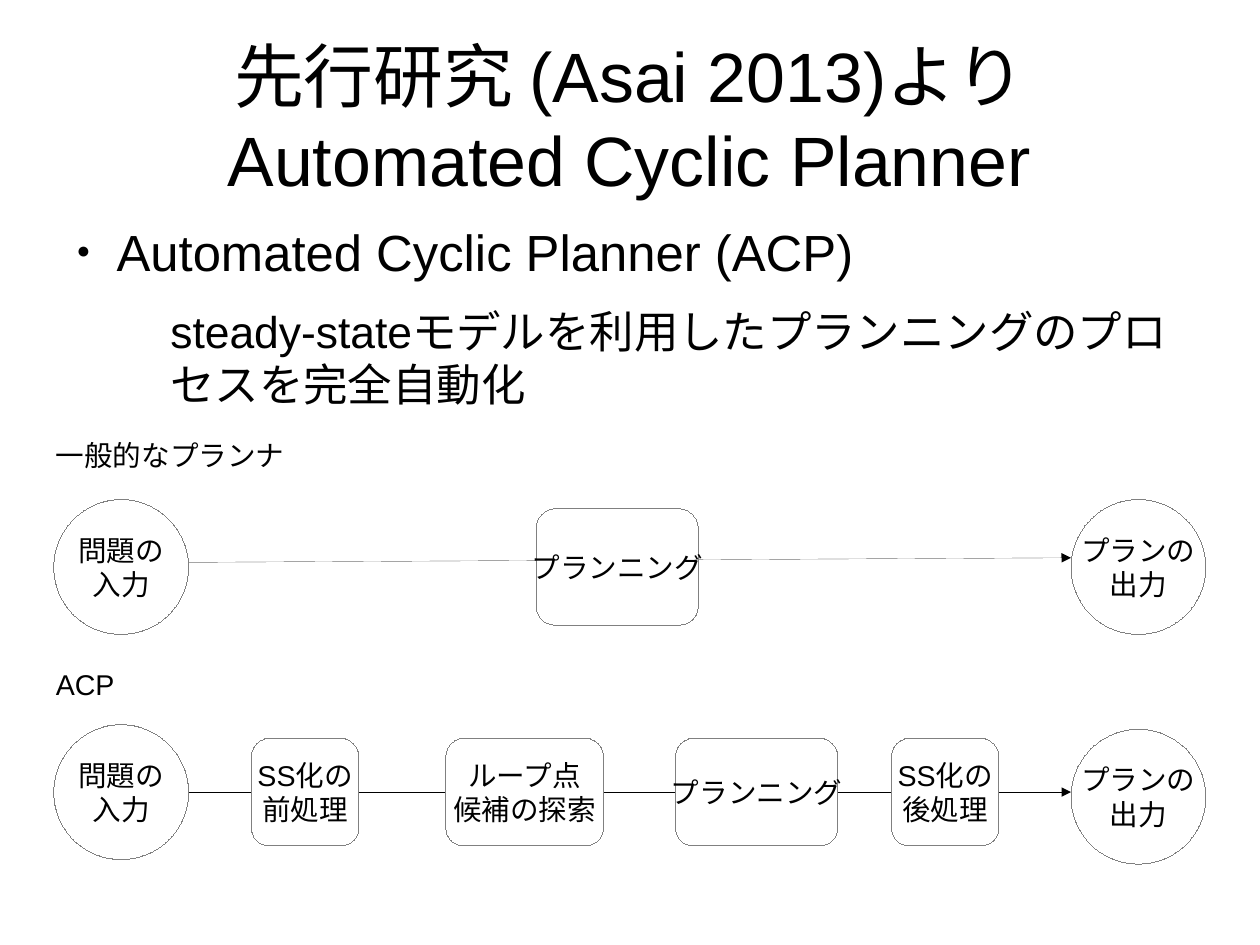
from dataclasses import dataclass

from lxml.etree import SubElement
from pptx import Presentation
from pptx.dml.color import RGBColor
from pptx.enum.shapes import MSO_CONNECTOR as Connector, MSO_SHAPE as Shape
from pptx.enum.text import MSO_ANCHOR as Anchor, MSO_AUTO_SIZE as AutoSize, PP_ALIGN as Align
from pptx.oxml.ns import qn
from pptx.util import Inches, Pt


@dataclass(frozen=True)
class Theme:
    font: str = "Arial"
    ink: RGBColor = RGBColor(0, 0, 0)
    outline: RGBColor = RGBColor(128, 128, 128)
    paper: RGBColor = RGBColor(255, 255, 255)
    title: int = 44
    bullet: int = 32
    detail: int = 28
    label: int = 18
    hairline: int = 0


class PlannerSlide:
    def __init__(self, presentation, theme):
        self.theme = theme
        self.slide = presentation.slides.add_slide(presentation.slide_layouts[1])

    def format(self, paragraph, size, align=Align.LEFT, after=0):
        paragraph.alignment = align
        paragraph.space_before = Pt(0)
        paragraph.space_after = Pt(after)
        paragraph.font.size = Pt(size)
        paragraph.font.name = self.theme.font
        paragraph.font.color.rgb = self.theme.ink

    def place(self, shape, left, top, width, height):
        shape.left, shape.top = Inches(left), Inches(top)
        shape.width, shape.height = Inches(width), Inches(height)
        frame = shape.text_frame
        frame.margin_left = frame.margin_right = Inches(0)
        frame.margin_top = frame.margin_bottom = Inches(0)
        frame.auto_size = AutoSize.NONE
        frame.word_wrap = True
        return frame

    def outline(self, shape, color):
        shape.line.color.rgb = color
        line = shape._element.spPr.find(qn("a:ln"))
        line.set("w", str(self.theme.hairline))
        return line

    def title(self, text, *bounds):
        frame = self.place(self.slide.shapes.title, *bounds)
        frame.vertical_anchor = Anchor.MIDDLE
        paragraph = frame.paragraphs[0]
        paragraph.text = text
        self.format(paragraph, self.theme.title, Align.CENTER)

    def body(self, bullet, detail, *bounds):
        frame = self.place(self.slide.placeholders[1], *bounds)
        frame.vertical_anchor = Anchor.TOP
        first, second = frame.paragraphs[0], frame.add_paragraph()
        first.text, second.text = bullet, detail
        second.level = 1
        properties = self.indent(first, 0.47, -0.35)
        color = SubElement(properties, qn("a:buClr"))
        SubElement(color, qn("a:srgbClr"), val=str(self.theme.ink))
        SubElement(properties, qn("a:buSzPct"), val="45000")
        SubElement(properties, qn("a:buChar"), char="●")
        SubElement(self.indent(second, 0.94, 0), qn("a:buNone"))
        self.format(first, self.theme.bullet, after=14.2)
        self.format(second, self.theme.detail, after=11.3)

    def indent(self, paragraph, margin, first_line):
        properties = paragraph._p.get_or_add_pPr()
        properties.set("marL", str(Inches(margin)))
        properties.set("indent", str(Inches(first_line)))
        return properties

    def arrow(self, start_x, start_y, end_x, end_y):
        connector = self.slide.shapes.add_connector(
            Connector.STRAIGHT, Inches(start_x), Inches(start_y), Inches(end_x), Inches(end_y))
        line = self.outline(connector, self.theme.ink)
        SubElement(line, qn("a:tailEnd"), type="triangle")
        SubElement(connector._element.spPr, qn("a:effectLst"))

    def node(self, kind, text, left, top, width, height):
        shape = self.slide.shapes.add_shape(
            kind, Inches(left), Inches(top), Inches(width), Inches(height))
        shape.shadow.inherit = False
        self.outline(shape, self.theme.outline)
        frame = shape.text_frame
        frame.text = text
        frame.word_wrap = False
        frame.vertical_anchor = Anchor.MIDDLE
        for paragraph in frame.paragraphs:
            self.format(paragraph, self.theme.label, Align.CENTER)
        return shape

    def state(self, text, left, top):
        self.node(Shape.OVAL, text, left, top, 1.18, 1.18).fill.background()

    def step(self, text, left, top, width, height):
        shape = self.node(Shape.ROUNDED_RECTANGLE, text, left, top, width, height)
        shape.fill.solid()
        shape.fill.fore_color.rgb = self.theme.paper

    def label(self, text, left, top, width, height):
        box = self.slide.shapes.add_textbox(
            Inches(left), Inches(top), Inches(width), Inches(height))
        frame = box.text_frame
        frame.word_wrap = True
        frame.text = text
        self.format(frame.paragraphs[0], self.theme.label)


def main():
    presentation = Presentation()
    presentation.slide_width = Inches(28 / 2.54)
    presentation.slide_height = Inches(21 / 2.54)
    page = PlannerSlide(presentation, Theme())

    page.title("先行研究 (Asai 2013)より\vAutomated Cyclic Planner", 0.55, 0.16, 9.92, 1.72)
    page.body("Automated Cyclic Planner (ACP)",
              "steady-stateモデルを利用したプランニングのプロセスを完全自動化",
              0.55, 1.93, 9.7, 6.18)

    input_left, output_left, flow_start = 0.47, 9.37, 1.65
    flows = [
        ("一般的なプランナ", 3.78, 0.46, 4.37, 4.37, 4.92, 4.88, 4.45, 1.02,
         [("プランニング", 4.69, 1.42)]),
        ("ACP", 5.79, 0.44, 6.34, 6.38, 6.93, 6.93, 6.46, 0.94,
         [("SS化の\n前処理", 2.2, 0.94),
          ("ループ点\n候補の探索", 3.9, 1.38),
          ("プランニング", 5.91, 1.42),
          ("SS化の\n後処理", 7.8, 0.94)]),
    ]
    for (name, label_top, label_height, input_top, output_top, start_y, end_y,
         step_top, step_height, steps) in flows:
        page.arrow(flow_start, start_y, output_left, end_y)
        page.label(name, 0.39, label_top, 2.36, label_height)
        page.state("問題の\v入力", input_left, input_top)
        for text, left, width in steps:
            page.step(text, left, step_top, width, step_height)
        page.state("プランの\v出力", output_left, output_top)

    presentation.save("out.pptx")


if __name__ == "__main__":
    main()
